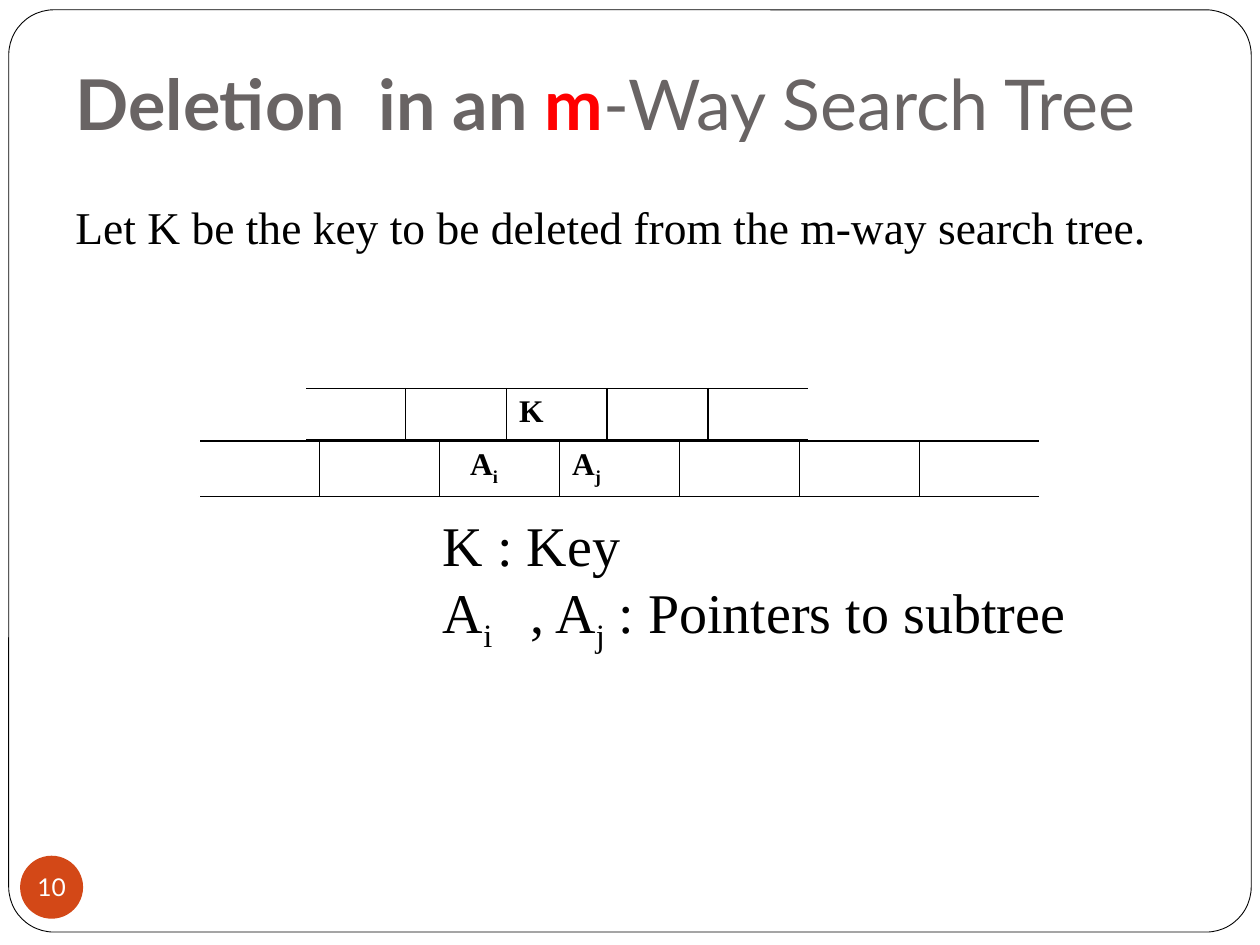
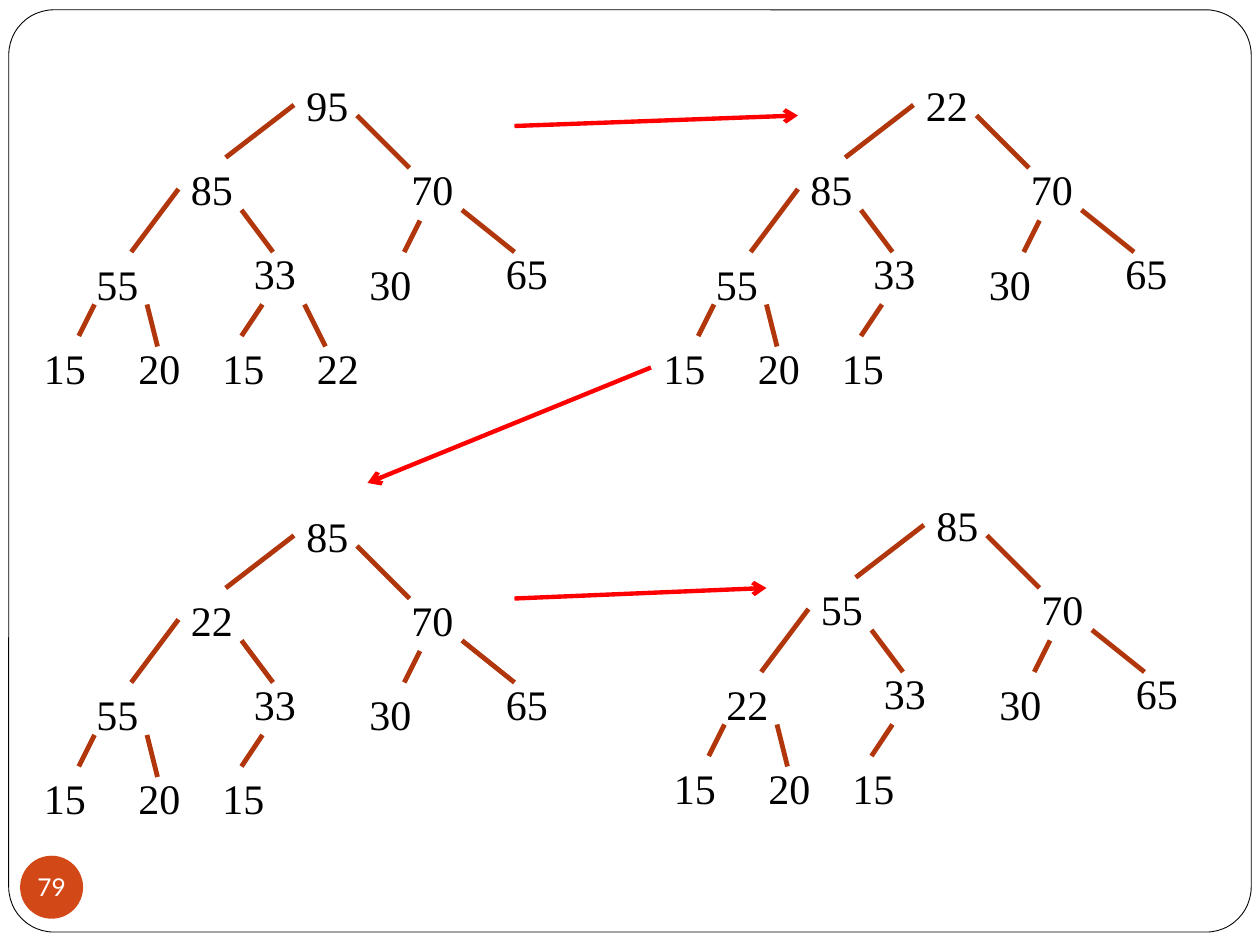
from dataclasses import dataclass

from lxml import etree
from pptx import Presentation
from pptx.dml.color import RGBColor
from pptx.enum.shapes import MSO_CONNECTOR, MSO_SHAPE
from pptx.enum.text import MSO_ANCHOR, PP_ALIGN
from pptx.oxml.ns import qn
from pptx.util import Pt

STRAIGHT = MSO_CONNECTOR.STRAIGHT
ROUNDED, OVAL = MSO_SHAPE.ROUNDED_RECTANGLE, MSO_SHAPE.OVAL
BOTTOM, MIDDLE = MSO_ANCHOR.BOTTOM, MSO_ANCHOR.MIDDLE
LEFT, CENTER = PP_ALIGN.LEFT, PP_ALIGN.CENTER


@dataclass(frozen=True)
class Theme:
    heading: str = "Lato"
    body: str = "Times New Roman"
    black: str = "000000"
    white: str = "FFFFFF"
    grey: str = "696464"
    red: str = "FF0000"
    badge: str = "D34817"
    branch: str = "B1360B"
    title_size: float = 40
    legend_size: float = 32
    text_size: float = 26
    node_size: float = 24
    cell_size: float = 18
    number_size: float = 14


T = Theme()


def add_run(p, text, size, font=T.body, color=T.black, bold=False, sub=False):
    r = p.add_run()
    r.text = text
    r.font.size, r.font.name, r.font.bold = Pt(size), font, bold
    r.font.color.rgb = RGBColor.from_string(color)
    if sub:
        r.font._element.set("baseline", "-25000")


def add_line(shapes, start, end, color, width):
    line = shapes.add_connector(STRAIGHT, *[Pt(v) for v in (*start, *end)])
    line.line.color.rgb = RGBColor.from_string(color)
    line.line.width = Pt(width)
    etree.SubElement(line._element.spPr, qn("a:effectLst"))
    return line


prs = Presentation()
prs.slide_width, prs.slide_height = Pt(720), Pt(540)
deletion = prs.slides.add_slide(prs.slide_layouts[5])
heap = prs.slides.add_slide(prs.slide_layouts[6])

# Shared frame and page number badge
for s, number in ((deletion, "10"), (heap, "79")):
    frame = s.shapes.add_shape(ROUNDED, Pt(5), Pt(5.6), Pt(710), Pt(527))
    frame.adjustments[0] = 0.049
    frame.line.color.rgb = RGBColor.from_string(T.black)
    frame.line.width = Pt(0.5)
    badge = s.shapes.add_shape(OVAL, Pt(11.5), Pt(489), Pt(36), Pt(36))
    badge.line.fill.background()
    for sp, fill in ((frame, T.white), (badge, T.badge)):
        sp.shadow.inherit = False
        sp.fill.solid()
        sp.fill.fore_color.rgb = RGBColor.from_string(fill)
    s.shapes._spTree.insert(2, frame._element)
    tf = badge.text_frame
    tf.margin_left = tf.margin_right = tf.margin_top = tf.margin_bottom = 0
    tf.vertical_anchor, tf.word_wrap = MIDDLE, False
    tf.paragraphs[0].alignment = CENTER
    add_run(tf.paragraphs[0], number, T.number_size, T.heading, T.white)

# Deletion slide: title
title = deletion.shapes.title
title.left, title.top, title.width, title.height = Pt(36), Pt(21.6), Pt(648), Pt(68.4)
tf = title.text_frame
tf.vertical_anchor, tf.word_wrap = BOTTOM, True
tf.margin_left = tf.margin_right = tf.margin_bottom = Pt(7.2)
tf.margin_top = Pt(3.6)
p = tf.paragraphs[0]
p.alignment = LEFT
for text, color, bold in (
    ("Deletion  in an ", T.grey, True),
    ("m", T.red, True),
    ("-Way Search Tree", T.grey, False),
):
    add_run(p, text, T.title_size, T.heading, color, bold)

# Deletion slide: statement and legend, as (text, subscript) runs
statement = [[("Let K be the key to be deleted from the m-way search tree.", False)]]
legend = [
    [("K : Key", False)],
    [("A", False), ("i", True), ("\t, A", False), ("j", True),
     (" : Pointers to subtree", False)],
]
for left, top, width, height, size, paragraphs in (
    (36, 110, 648, 374, T.text_size, statement),
    (246, 288, 444, 85, T.legend_size, legend),
):
    tf = deletion.shapes.add_textbox(Pt(left), Pt(top), Pt(width), Pt(height)).text_frame
    tf.word_wrap = True
    for i, runs in enumerate(paragraphs):
        p = tf.add_paragraph() if i else tf.paragraphs[0]
        if any("\t" in text for text, sub in runs):
            tabs = etree.SubElement(p._p.get_or_add_pPr(), qn("a:tabLst"))
            etree.SubElement(tabs, qn("a:tab"), pos=str(Pt(50)), algn="l")
        for text, sub in runs:
            add_run(p, text, size, sub=sub)

# Deletion slide: node tables, open at both ends; cells hold (indent, runs)
keys = {2: (7.2, [("K", False)])}
pointers = {
    2: (17.5, [("A", False), ("i", True)]),
    3: (7.2, [("A", False), ("j", True)]),
}
for left, top, width, columns, cells in (
    (174.2, 222, 288, 5, keys),
    (114, 252, 480, 7, pointers),
):
    table = deletion.shapes.add_table(
        1, columns, Pt(left), Pt(top), Pt(width), Pt(29.5)).table
    table.first_row = table.horz_banding = False
    for i in range(columns):
        table.columns[i].width = Pt(width / columns)
        cell = table.cell(0, i)
        tc_pr = cell._tc.get_or_add_tcPr()
        for side in "LRTB":
            is_open = (side, i) in (("L", 0), ("R", columns - 1))
            border = etree.SubElement(tc_pr, qn(f"a:ln{side}"), w=str(Pt(1)))
            fill = etree.SubElement(border, qn("a:solidFill"))
            etree.SubElement(fill, qn("a:srgbClr"), val=T.white if is_open else T.black)
        cell.fill.solid()
        cell.fill.fore_color.rgb = RGBColor.from_string(T.white)
        indent, runs = cells.get(i, (7.2, []))
        cell.margin_left = Pt(indent)
        for text, sub in runs:
            add_run(cell.text_frame.paragraphs[0], text, T.cell_size, bold=True, sub=sub)

# Heap slide: node corners and the branch leading to each, level by level
nodes = [
    (168, 42, None),
    (102, 90, ((168, 60), (129, 90))),
    (228, 90, ((204, 66), (234, 96))),
    (48, 144, ((102, 108), (75, 144))),
    (138, 138, ((138, 120), (156, 144))),
    (204, 144, ((240, 126), (231, 144))),
    (282, 138, ((264, 120), (294, 144))),
    (18, 192, ((54, 174), (45, 192))),
    (72, 192, ((84, 174), (90, 198))),
    (120, 192, ((150, 174), (138, 192))),
    (174, 192, ((174, 174), (186, 198))),
]
trees = [
    (0, 0, [95, 85, 70, 55, 33, 30, 65, 15, 20, 15, 22]),
    (354, 0, [22, 85, 70, 55, 33, 30, 65, 15, 20, 15]),
    (0, 246, [85, 22, 70, 55, 33, 30, 65, 15, 20, 15]),
    (360, 240, [85, 55, 70, 22, 33, 30, 65, 15, 20, 15]),
]
for dx, dy, values in trees:
    tree = heap.shapes.add_group_shape().shapes
    for value, (x, y, branch) in zip(values, nodes):
        tf = tree.add_textbox(Pt(x + dx), Pt(y + dy), Pt(54), Pt(36)).text_frame
        tf.word_wrap = True
        add_run(tf.paragraphs[0], str(value), T.node_size)
        if branch:
            start, end = [(bx + dx, by + dy) for bx, by in branch]
            add_line(tree, start, end, T.branch, 2.75)

# Heap slide: arrows from step to step
for start, end in (
    ((294, 72), (456, 66)),
    ((372, 210), (210, 276)),
    ((294, 342), (438, 336)),
):
    arrow = add_line(heap.shapes, start, end, T.red, 2.5)
    etree.SubElement(arrow.line._get_or_add_ln(), qn("a:tailEnd"), type="arrow")

prs.save("out.pptx")
